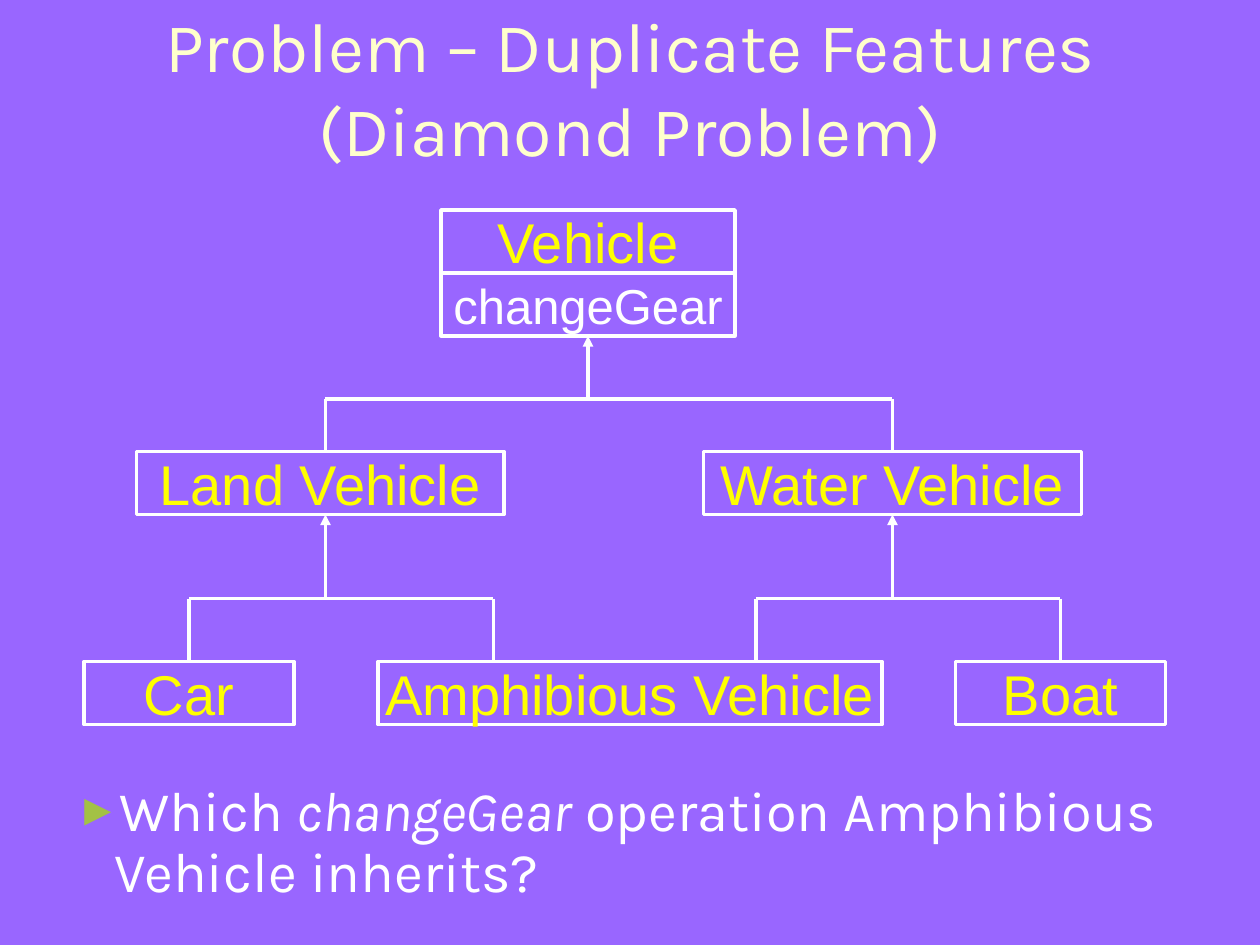
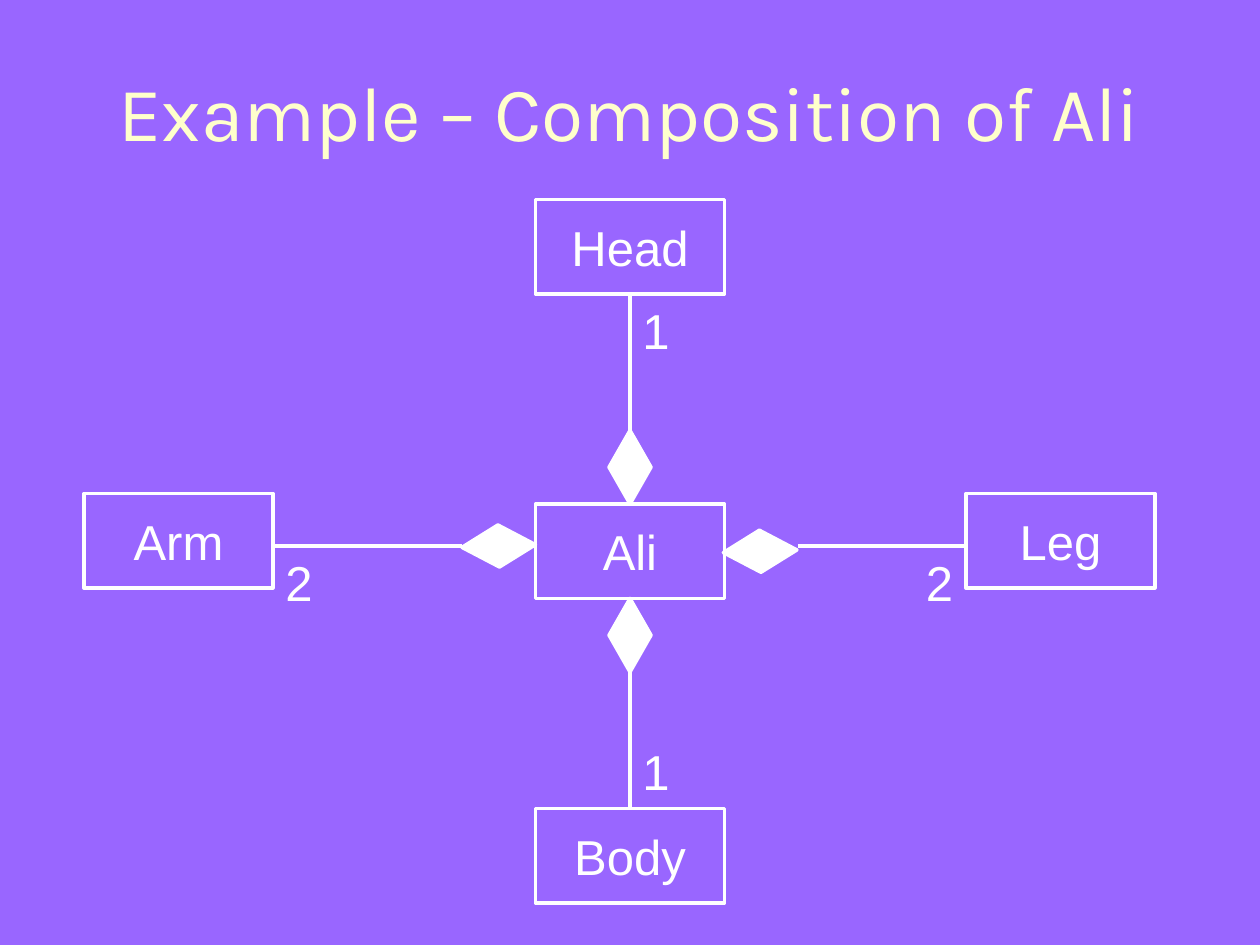
from dataclasses import dataclass

from lxml import etree
from pptx import Presentation
from pptx.dml.color import RGBColor
from pptx.enum.shapes import MSO_CONNECTOR, MSO_SHAPE
from pptx.enum.text import MSO_ANCHOR, MSO_AUTO_SIZE, PP_ALIGN
from pptx.oxml.ns import qn
from pptx.util import Inches, Pt

RECT, DIAMOND = MSO_SHAPE.RECTANGLE, MSO_SHAPE.DIAMOND
STRAIGHT = MSO_CONNECTOR.STRAIGHT
CENTER, LEFT = PP_ALIGN.CENTER, PP_ALIGN.LEFT
MIDDLE, TOP = MSO_ANCHOR.MIDDLE, MSO_ANCHOR.TOP
NO_FIT = MSO_AUTO_SIZE.NONE
TITLE_AND_BODY, TITLE_ONLY = 1, 5


@dataclass(frozen=True)
class Theme:
    background: str = "9966FF"
    title: str = "FFFFCC"
    ink: str = "FFFFFF"
    class_name: str = "FFFF00"
    bullet: str = "A3C145"
    text_font: str = "Karla"
    diagram_font: str = "Arial"
    big_title: int = 44
    long_title: int = 40
    large: int = 32
    medium: int = 28
    line: int = 2


THEME = Theme()


@dataclass(frozen=True)
class Region:
    """Part of the slide, measured in grid cells of a twelfth of an inch."""
    left: float
    top: float
    width: float
    height: float

    def point(self, x, y):
        return Inches((self.left + x) / 12), Inches((self.top + y) / 12)

    def box(self, x, y, w, h):
        return *self.point(x, y), Inches(w / 12), Inches(h / 12)

    def whole(self):
        return self.box(0, 0, self.width, self.height)


SLIDE = Region(0, 0, 120, 90)


# Shared text and drawing helpers
def style_runs(p, size, color, font):
    for r in p.runs:
        r.font.size, r.font.name = Pt(size), font
        r.font.color.rgb = RGBColor.from_string(color)


def style_line(line):
    line.color.rgb = RGBColor.from_string(THEME.ink)
    line.width = Pt(THEME.line)


def place(sp, region):
    sp.left, sp.top, sp.width, sp.height = region.whole()


def add_title(slide, region, text, size):
    sp = slide.shapes.title
    place(sp, region)
    tf = sp.text_frame
    tf.text = text
    tf.auto_size, tf.vertical_anchor = NO_FIT, MIDDLE
    p = tf.paragraphs[0]
    p.alignment = CENTER
    style_runs(p, size, THEME.title, THEME.text_font)


def add_bullet(slide, region, parts):
    """Fill the body with one bullet; every second part is italic."""
    sp = slide.placeholders[1]
    place(sp, region)
    tf = sp.text_frame
    tf.auto_size, tf.vertical_anchor = NO_FIT, TOP
    p = tf.paragraphs[0]
    p.alignment, p.line_spacing, p.space_before = LEFT, 0.9, Pt(8)
    for i, part in enumerate(parts):
        r = p.add_run()
        r.text = part
        r.font.italic = i % 2 == 1
    style_runs(p, THEME.large, THEME.ink, THEME.text_font)
    pPr = p._p.get_or_add_pPr()
    indent = Inches(0.31)
    pPr.set("marL", str(indent))
    pPr.set("indent", str(-indent))
    color = etree.SubElement(pPr, qn("a:buClr"))
    etree.SubElement(color, qn("a:srgbClr"), val=THEME.bullet)
    etree.SubElement(pPr, qn("a:buSzPct"), val="80000")
    etree.SubElement(pPr, qn("a:buChar"), char="►")


def add_box(slide, bounds, text, size, color):
    sp = slide.shapes.add_shape(RECT, *bounds)
    sp.shadow.inherit = False
    sp.fill.background()
    style_line(sp.line)
    tf = sp.text_frame
    tf.text = text
    tf.word_wrap, tf.vertical_anchor = False, MIDDLE
    p = tf.paragraphs[0]
    p.alignment = CENTER
    style_runs(p, size, color, THEME.diagram_font)


def add_line(slide, start, end, arrow=False):
    line = slide.shapes.add_connector(STRAIGHT, *start, *end)
    style_line(line.line)
    if arrow:
        etree.SubElement(line.line._get_or_add_ln(), qn("a:tailEnd"), type="triangle")
    etree.SubElement(line._element.spPr, qn("a:effectLst"))


# Class tree
def add_fork(slide, region, parent, children, bar, bottom):
    """Join children to the parent (x, y) by a bar and an arrow."""
    add_line(slide, region.point(parent[0], bar), region.point(*parent), arrow=True)
    add_line(slide, region.point(children[0], bar), region.point(children[-1], bar))
    for x in children:
        add_line(slide, region.point(x, bar), region.point(x, bottom))


def add_class_tree(slide, region):
    row = 6
    classes = [
        ("Vehicle", 34, 0, 28),
        ("Land Vehicle", 5, 23, 35),
        ("Water Vehicle", 59, 23, 36),
        ("Car", 0, 43, 20),
        ("Amphibious Vehicle", 28, 43, 48),
        ("Boat", 83, 43, 20),
    ]
    for name, x, y, w in classes:
        add_box(slide, region.box(x, y, w, row), name, THEME.large, THEME.class_name)
    add_box(slide, region.box(34, row, 28, row), "changeGear", THEME.medium, THEME.ink)

    land, water = 23, 77
    add_fork(slide, region, (48, 2 * row), (land, water), 18, 23)
    for x, children in ((land, (10, 39)), (water, (64, 93))):
        add_fork(slide, region, (x, 29), children, 37, 43)


# Composition diagram
def add_diamond(slide, bounds, rotation):
    sp = slide.shapes.add_shape(DIAMOND, *bounds)
    sp.shadow.inherit = False
    sp.fill.solid()
    sp.fill.fore_color.rgb = RGBColor.from_string(THEME.ink)
    style_line(sp.line)
    sp.rotation = rotation


def add_count(slide, bounds, text):
    tf = slide.shapes.add_textbox(*bounds).text_frame
    tf.text = text
    tf.word_wrap = True
    style_runs(tf.paragraphs[0], THEME.medium, THEME.ink, THEME.diagram_font)


def add_composition(slide, region):
    def part_box(name, x, y):
        add_box(slide, region.box(x, y, 18, 9), name, THEME.medium, THEME.ink)

    part_box("Ali", 43, 29)
    # name, box corner, line ends, count and its corner, diamond corner and turn
    parts = [
        ("Head", (43, 0), (52, 9), (52, 22), "1", (52, 9), (50, 22), 0),
        ("Body", (43, 58), (52, 45), (52, 58), "1", (52, 51), (50, 38), 0),
        ("Arm", (0, 28), (18, 33), (36, 33), "2", (18, 33), (37.5, 29.5), 267.9),
        ("Leg", (84, 28), (68, 33), (84, 33), "2", (79, 33), (62.4, 30), 267.9),
    ]
    for name, corner, start, end, count, count_at, diamond_at, turn in parts:
        part_box(name, *corner)
        add_line(slide, region.point(*start), region.point(*end))
        add_count(slide, region.box(*count_at, 5, 6.8), count)
        add_diamond(slide, region.box(*diamond_at, 4, 7), turn)


# Slides
def add_diamond_problem_slide(prs):
    slide = prs.slides.add_slide(prs.slide_layouts[TITLE_AND_BODY])
    add_title(slide, Region(6, 3, 108, 10.4),
              "Problem – Duplicate Features (Diamond Problem)", THEME.long_title)
    add_bullet(slide, Region(6, 74, 108, 13),
               ["Which ", "changeGear", " operation Amphibious Vehicle inherits?"])
    add_class_tree(slide, Region(8, 20, 103, 49))


def add_composition_slide(prs):
    slide = prs.slides.add_slide(prs.slide_layouts[TITLE_ONLY])
    add_title(slide, Region(4, 3, 112, 15), "Example – Composition of Ali", THEME.big_title)
    add_composition(slide, Region(8, 19, 102, 67))


def main():
    prs = Presentation()
    prs.slide_width, prs.slide_height = SLIDE.whole()[2:]
    fill = prs.slide_master.background.fill
    fill.solid()
    fill.fore_color.rgb = RGBColor.from_string(THEME.background)
    add_diamond_problem_slide(prs)
    add_composition_slide(prs)
    prs.save("out.pptx")


if __name__ == "__main__":
    main()
